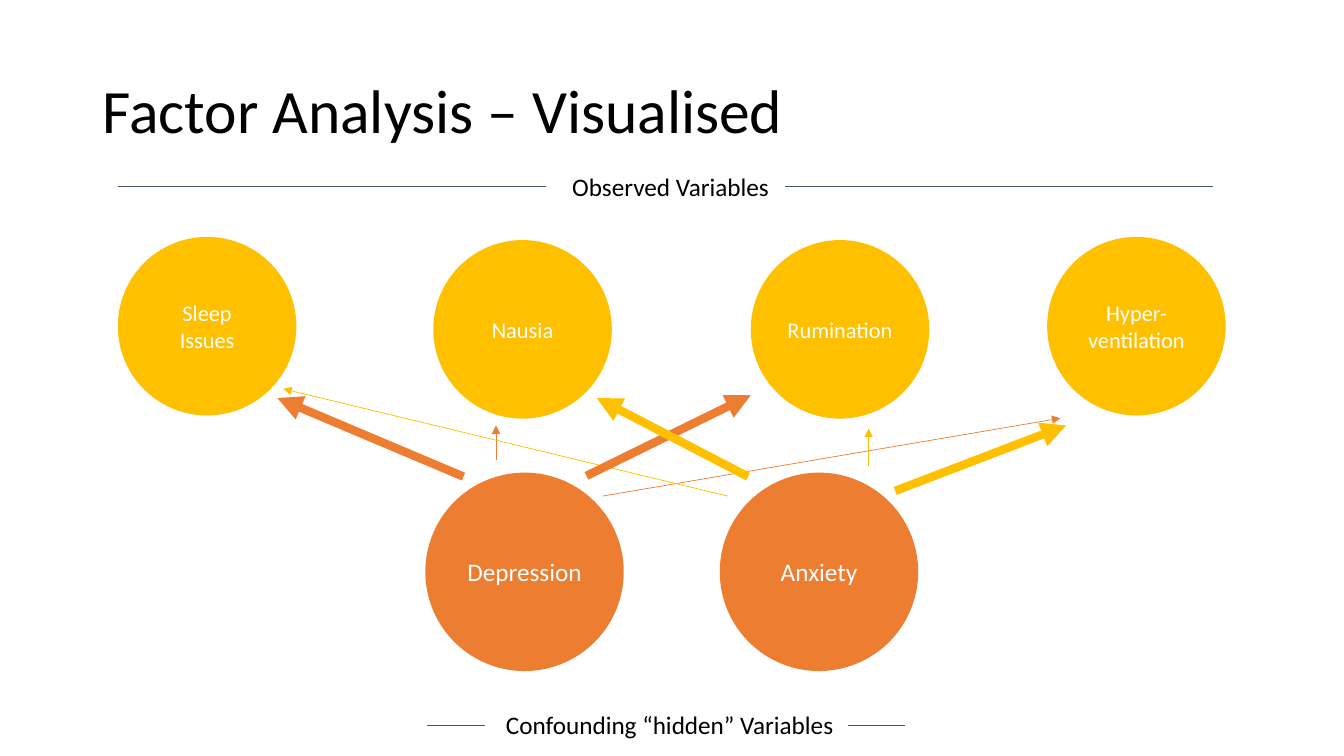
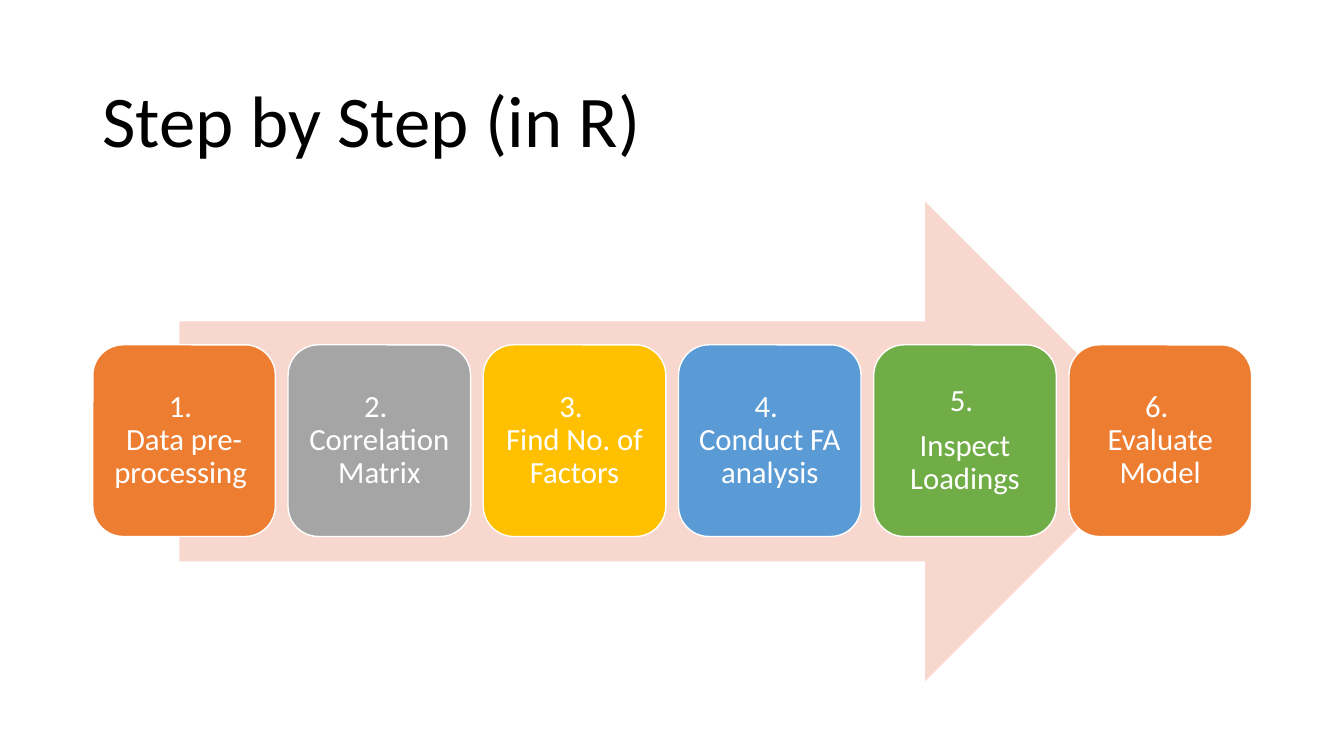
"""Build two slides: a factor analysis diagram and a six-step process."""
from lxml import etree
from pptx import Presentation
from pptx.dml.color import RGBColor
from pptx.enum.shapes import MSO_CONNECTOR, MSO_SHAPE
from pptx.enum.text import MSO_ANCHOR, PP_ALIGN
from pptx.oxml.ns import qn
from pptx.util import Cm, Pt

rgb = RGBColor.from_string
FONT = "Calibri"
BLACK, WHITE, SLATE = "000000", "FFFFFF", "44546A"
ORANGE, GOLD, GREY = "ED7D31", "FFC000", "A5A5A5"
BLUE, GREEN, PINK = "5B9BD5", "70AD47", "F8D7CE"
THIN, THICK = 0.5, 6


def write(shape, text, size, color=WHITE, align=PP_ALIGN.CENTER,
          anchor=MSO_ANCHOR.MIDDLE, spacing=1.0, after=0, wrap=True):
    frame = shape.text_frame
    frame.word_wrap = wrap
    frame.vertical_anchor = anchor
    frame.text = text
    for paragraph in frame.paragraphs:
        paragraph.alignment = align
        paragraph.line_spacing = spacing
        paragraph.space_before = Pt(0)
        paragraph.space_after = Pt(after)
        for run in paragraph.runs:
            run.font.name = FONT
            run.font.size = Pt(size)
            run.font.color.rgb = rgb(color)


def add_filled(slide, kind, left, top, width, height, fill):
    shape = slide.shapes.add_shape(kind, Cm(left), Cm(top), Cm(width), Cm(height))
    shape.shadow.inherit = False
    shape.fill.solid()
    shape.fill.fore_color.rgb = rgb(fill)
    shape.line.fill.background()
    return shape


presentation = Presentation()
presentation.slide_width = Cm(33.87)
presentation.slide_height = Cm(19.05)

slides = []
for text, size, top, height in [
    ("Factor Analysis – Visualised", 44, 1.02, 3.68),
    ("Step by Step (in R)", 52, 1.55, 3.15),
]:
    slide = presentation.slides.add_slide(presentation.slide_layouts[5])
    title = slide.shapes.title
    title.left, title.top, title.width, title.height = Cm(2.33), Cm(top), Cm(29.21), Cm(height)
    write(title, text, size, color=BLACK, align=PP_ALIGN.LEFT, spacing=0.9)
    slides.append(slide)
factor_slide, step_slide = slides

variables = [
    ("Sleep Issues", 2.97, 5.97, 4.5, GOLD, 16),
    ("Nausia", 10.92, 6.05, 4.5, GOLD, 16),
    ("Rumination", 18.92, 6.05, 4.5, GOLD, 16),
    ("Hyper-ventilation", 26.39, 5.97, 4.5, GOLD, 16),
    ("Depression", 10.72, 11.91, 5, ORANGE, 18),
    ("Anxiety", 18.14, 11.91, 5, ORANGE, 18),
]
for text, left, top, diameter, fill, size in variables:
    circle = add_filled(factor_slide, MSO_SHAPE.OVAL, left, top, diameter, diameter, fill)
    write(circle, text, size)

for text, left, top, width in [
    ("Observed Variables", 14.17, 4.19, 5.54),
    ("Confounding “hidden” Variables", 12.5, 17.75, 8.86),
]:
    label = factor_slide.shapes.add_textbox(Cm(left), Cm(top), Cm(width), Cm(1.02))
    write(label, text, 18, color=BLACK, align=PP_ALIGN.LEFT, anchor=MSO_ANCHOR.TOP, wrap=False)

rules = [
    (2.97, 4.7, 13.77, 4.7, SLATE, THIN),
    (19.79, 4.7, 30.58, 4.7, SLATE, THIN),
    (10.77, 18.29, 12.22, 18.29, SLATE, THIN),
    (21.36, 18.29, 22.81, 18.29, SLATE, THIN),
]
loadings = [
    (12.5, 11.58, 12.5, 10.72, ORANGE, THIN),
    (15.19, 12.5, 26.72, 10.54, ORANGE, THIN),
    (18.34, 12.5, 7.14, 9.8, GOLD, THIN),
    (21.89, 11.73, 21.89, 10.8, GOLD, THIN),
    (11.68, 12.01, 6.99, 10.03, ORANGE, THICK),
    (14.78, 11.99, 18.92, 9.96, ORANGE, THICK),
    (18.85, 12.01, 15.04, 10.03, GOLD, THICK),
    (22.56, 12.37, 26.87, 10.72, GOLD, THICK),
]
for entry in rules + loadings:
    *ends, color, weight = entry
    connector = factor_slide.shapes.add_connector(MSO_CONNECTOR.STRAIGHT, *map(Cm, ends))
    connector.line.color.rgb = rgb(color)
    connector.line.width = Pt(weight)
    properties = connector._element.spPr
    etree.SubElement(properties, qn("a:effectLst"))
    if entry in loadings:
        etree.SubElement(properties.find(qn("a:ln")), qn("a:tailEnd"), type="triangle")

add_filled(step_slide, MSO_SHAPE.RIGHT_ARROW, 4.52, 5.08, 24.84, 12.09, PINK)
steps = [
    ("1. \vData pre-processing ", ORANGE),
    ("2. \vCorrelation Matrix", GREY),
    ("3. \vFind No. of Factors", GOLD),
    ("4. \vConduct FA analysis", BLUE),
    ("5. \nInspect Loadings", GREEN),
    ("6. \vEvaluate Model", ORANGE),
]
for index, (text, fill) in enumerate(steps):
    card = add_filled(step_slide, MSO_SHAPE.ROUNDED_RECTANGLE,
                      2.34 + index * 4.92, 8.69, 4.6, 4.83, fill)
    card.line.color.rgb = rgb(WHITE)
    card.line.width = Pt(1)
    frame = card.text_frame
    frame.margin_left = frame.margin_right = frame.margin_top = frame.margin_bottom = Cm(0.23)
    write(card, text, 22, spacing=0.9, after=7.7)

presentation.save("out.pptx")
